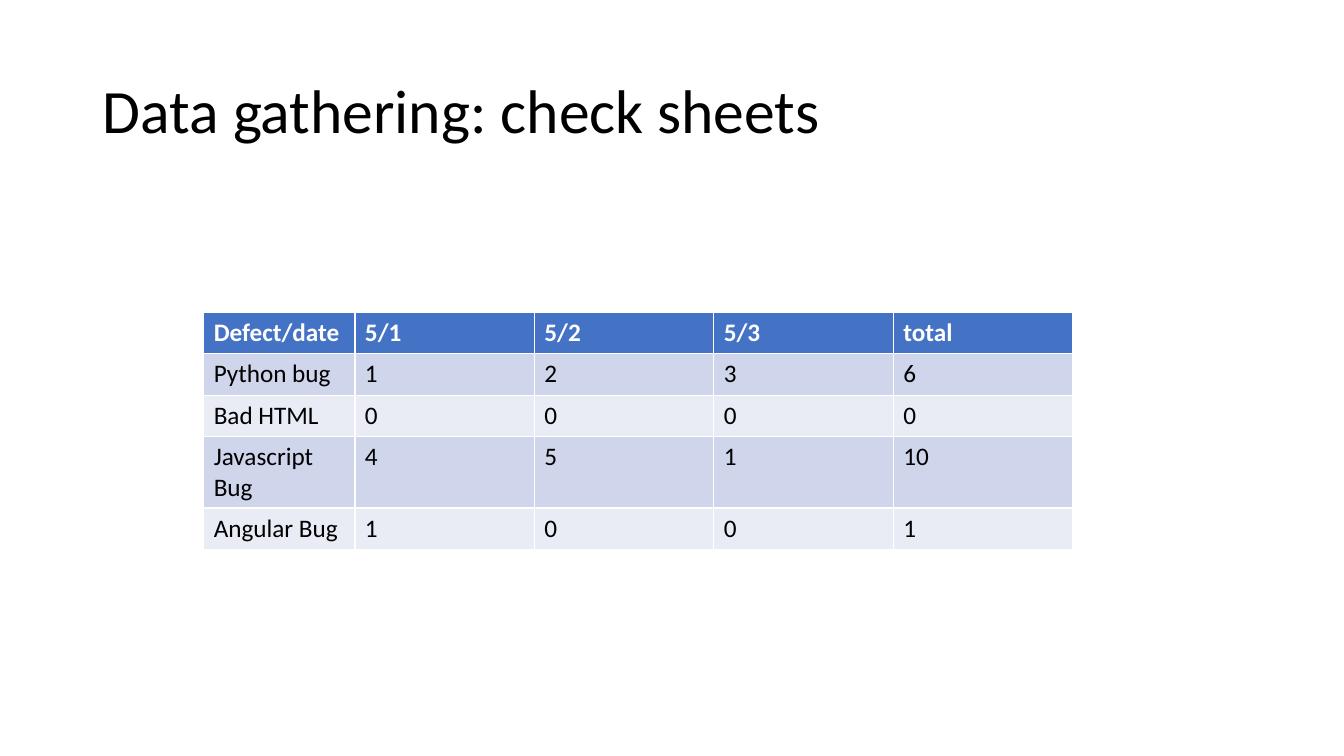
"""Build a slide with a check sheet of defects counted by date."""
import pptx
import pptx.dml.color
import pptx.enum.text
import pptx.util

Inches = pptx.util.Inches
COLORS = {
    "text": "000000",
    "header_text": "FFFFFF",
    "header": "4472C4",
    "odd_row": "CFD5EA",
    "even_row": "E9EBF5",
}


def write(frame, text, size=18, color="text", bold=False, spacing=1.0):
    paragraph = frame.paragraphs[0]
    paragraph.alignment = pptx.enum.text.PP_ALIGN.LEFT
    paragraph.line_spacing = spacing
    run = paragraph.add_run()
    run.text = text
    run.font.name = "Calibri"
    run.font.size = pptx.util.Pt(size)
    run.font.bold = bold
    run.font.color.rgb = pptx.dml.color.RGBColor.from_string(COLORS[color])


deck = pptx.Presentation()
deck.slide_width = Inches(13.33)
deck.slide_height = Inches(7.5)
slide = deck.slides.add_slide(deck.slide_layouts[5])

heading = slide.shapes.title
heading.left, heading.top = Inches(0.92), Inches(0.4)
heading.width, heading.height = Inches(11.5), Inches(1.45)
heading.text_frame.vertical_anchor = pptx.enum.text.MSO_ANCHOR.MIDDLE
write(heading.text_frame, "Data gathering: check sheets", size=44, spacing=0.9)

defect_rows = [
    ["Defect/date", "5/1", "5/2", "5/3", "total"],
    ["Python bug", "1", "2", "3", "6"],
    ["Bad HTML", "0", "0", "0", "0"],
    ["Javascript Bug", "4", "5", "1", "10"],
    ["Angular Bug", "1", "0", "0", "1"],
]
column_widths = [1.5] + [1.78] * 4
row_height = 0.41

check_sheet = slide.shapes.add_table(
    len(defect_rows), len(column_widths), Inches(2.02), Inches(3.1),
    Inches(sum(column_widths)), Inches(row_height * len(defect_rows)),
).table
for column, width in zip(check_sheet.columns, column_widths):
    column.width = Inches(width)

for row_index, entries in enumerate(defect_rows):
    check_sheet.rows[row_index].height = Inches(row_height)
    is_header = row_index == 0
    band = "header" if is_header else "odd_row" if row_index % 2 else "even_row"
    for column_index, entry in enumerate(entries):
        cell = check_sheet.cell(row_index, column_index)
        cell.fill.solid()
        cell.fill.fore_color.rgb = pptx.dml.color.RGBColor.from_string(COLORS[band])
        write(cell.text_frame, entry, bold=is_header,
              color="header_text" if is_header else "text")

deck.save("out.pptx")
